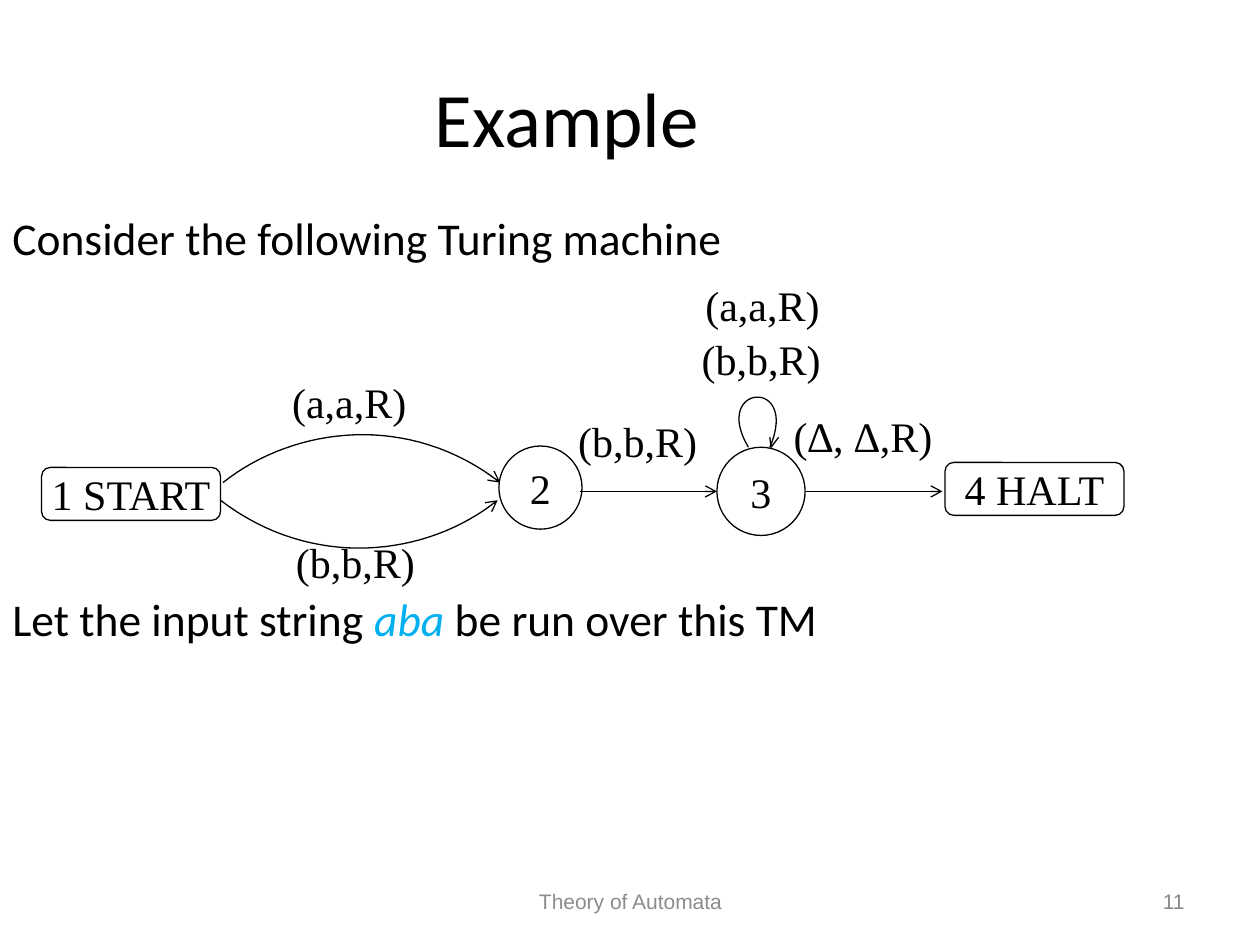
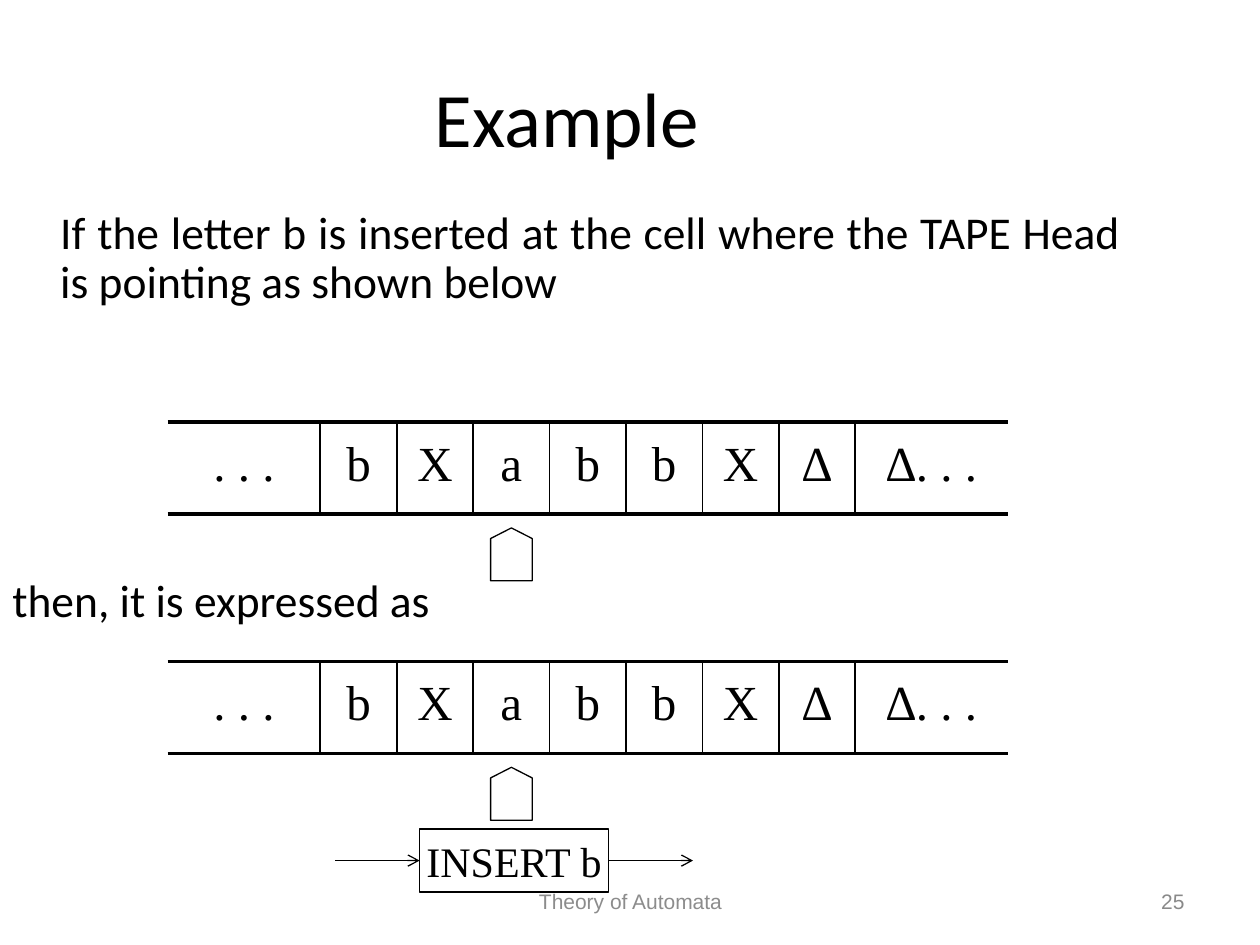
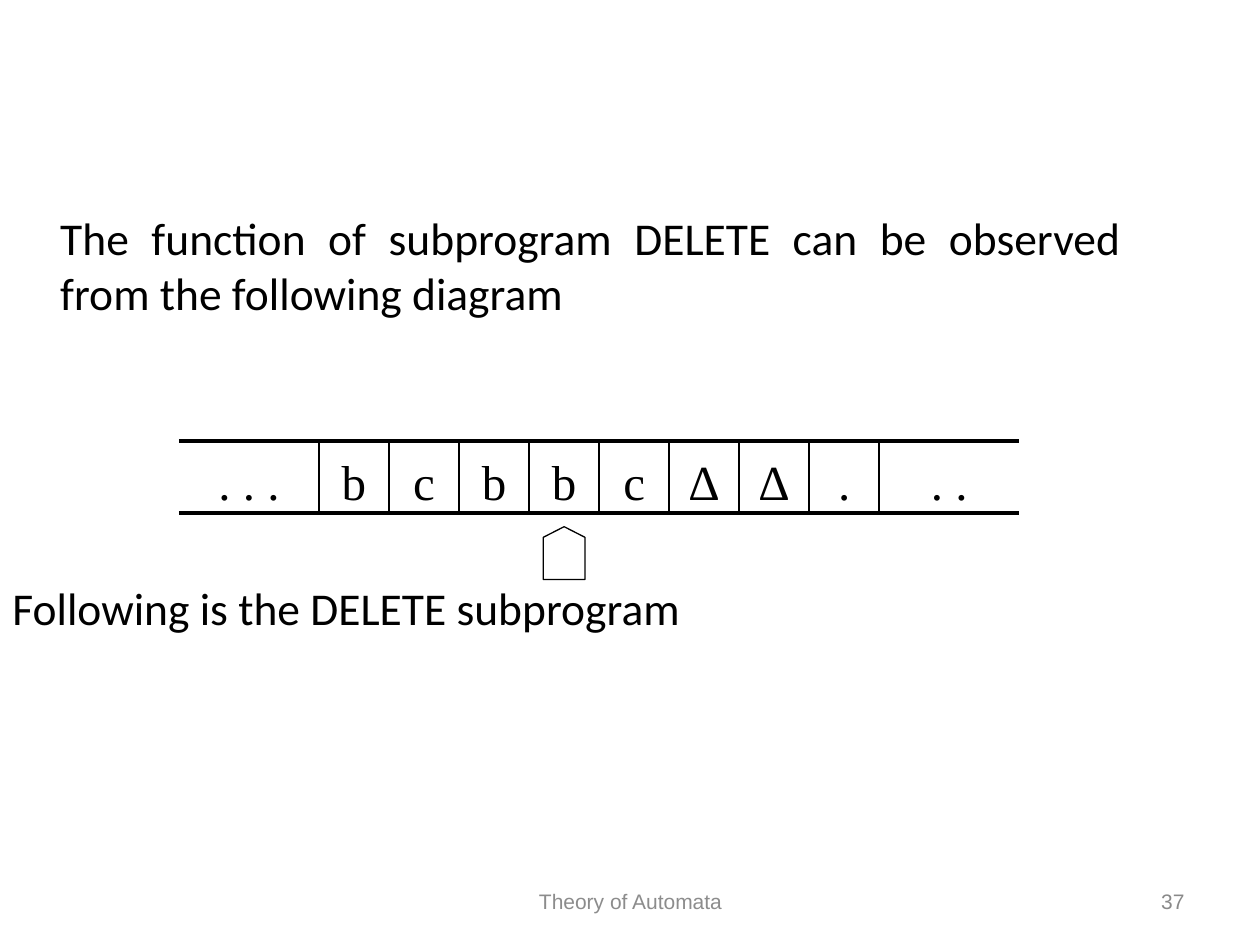
"""Builds three Turing machine slides: a state diagram and two tape operations."""
import pptx
import pptx.util
import pptx.dml.color
import pptx.enum.shapes
import pptx.enum.text
import pptx.oxml.ns
from lxml import etree

Inches = pptx.util.Inches
Pt = pptx.util.Pt
SHAPE = pptx.enum.shapes.MSO_SHAPE
ALIGN = pptx.enum.text.PP_ALIGN
ANCHOR = pptx.enum.text.MSO_ANCHOR

BLACK, WHITE, BLUE = "000000", "FFFFFF", "00B0F0"
FOOTER_GREY, NUMBER_GREY = "8C8C8C", "898989"
HEADING_FONT, DIAGRAM_FONT, FOOTER_FONT = "Calibri", "Times New Roman", "Arial"
FOOTER = "Theory of Automata"
TAPE_WIDTH = 6.67
HEAD_SIZE = (0.33, 0.42)

INSERT_SYMBOLS = [". . .", "b", "X", "a", "b", "b", "X", "∆", "∆. . ."]
DELETE_SYMBOLS = [". . .", "b", "c", "b", "b", "c", "∆", "∆", ".", ". ."]

SLIDES = [
    {
        "number": 11,
        "title": "Example",
        "body": [
            {"runs": [("Consider the following Turing machine", BLACK, False)]},
            {"runs": [("Let the input string ", BLACK, False), ("aba", BLUE, True),
                      (" be run over this TM", BLACK, False)], "before": 186.5},
        ],
        "machine": True,
    },
    {
        "number": 25,
        "title": "Example",
        "body": [
            {"runs": [("If the letter b is inserted at the cell where the TAPE Head "
                       "is pointing as shown below", BLACK, False)],
             "indent": 0.38, "spacing": 0.9},
            {"runs": [("then, it is expressed as", BLACK, False)], "before": 150.5},
        ],
        "tapes": [(INSERT_SYMBOLS, 3, 1.33, 3.35, 0.73), (INSERT_SYMBOLS, 3, 1.33, 5.25, 0.73)],
        "subprogram": "INSERT b",
    },
    {
        "number": 37,
        "body": [
            {"runs": [("The function of subprogram DELETE can be observed from "
                       "the following diagram", BLACK, False)], "indent": 0.38},
            {"runs": [("Following is the DELETE subprogram", BLACK, False)], "before": 149},
        ],
        "tapes": [(DELETE_SYMBOLS, 4, 1.42, 3.5, 0.57)],
    },
]

STATES = [
    ("1 START", SHAPE.ROUNDED_RECTANGLE, (0.33, 3.71, 1.42, 0.42)),
    ("2", SHAPE.OVAL, (3.96, 3.54, 0.66, 0.66)),
    ("3", SHAPE.OVAL, (5.69, 3.55, 0.7, 0.7)),
    ("4 HALT", SHAPE.ROUNDED_RECTANGLE, (7.5, 3.67, 1.42, 0.42)),
]
STATE_ARROWS = [((4.6, 3.9), (5.69, 3.9)), ((6.4, 3.9), (7.48, 3.9))]
CURVED_ARROWS = [
    ((1.77, 3.83), (2.34, 3.38), (3.25, 3.27), (3.97, 3.83)),
    ((1.75, 3.97), (2.48, 4.53), (3.39, 4.42), (3.95, 3.97)),
]
LOOP = ((5.94, 3.55), (5.64, 3.05), (6.35, 2.99), (6.11, 3.55))
LOOP_HEAD = [(6.11, 3.47), (6.12, 3.55), (6.18, 3.47)]
TRANSITIONS = [
    ("(a,a,R)", 2.22, 2.94), ("(b,b,R)", 2.25, 4.21), ("(b,b,R)", 4.49, 3.25),
    ("(b,b,R)", 5.47, 2.6), ("(a,a,R)", 5.5, 2.17), ("(∆, ∆,R)", 6.2, 3.21),
]


def color(value):
    return pptx.dml.color.RGBColor.from_string(value)


def style_font(font, name, size, value=BLACK, italic=False):
    font.name, font.size, font.italic = name, Pt(size), italic
    font.color.rgb = color(value)


def style_line(line, width, arrow=False):
    line.color.rgb = color(BLACK)
    line.width = Pt(width)
    if arrow:
        tail = etree.SubElement(line._get_or_add_ln(), pptx.oxml.ns.qn("a:tailEnd"))
        tail.set("type", "arrow")


def add_text(page, text, place, font, size, value=BLACK, align=ALIGN.LEFT, anchor=ANCHOR.TOP):
    box = page.shapes.add_textbox(*map(Inches, place))
    frame = box.text_frame
    frame.word_wrap = True
    frame.vertical_anchor = anchor
    frame.text = text
    para = frame.paragraphs[0]
    para.alignment = align
    style_font(para.runs[0].font, font, size, value)
    return box


def add_line(page, start, end, width=0.75, arrow=False):
    line = page.shapes.add_connector(
        pptx.enum.shapes.MSO_CONNECTOR.STRAIGHT, *map(Inches, start + end))
    style_line(line.line, width, arrow)
    etree.SubElement(line._element.spPr, pptx.oxml.ns.qn("a:effectLst"))


def add_outline(page, kind, place, text="", fill=None):
    shape = page.shapes.add_shape(kind, *map(Inches, place))
    shape.shadow.inherit = False
    if fill:
        shape.fill.solid()
        shape.fill.fore_color.rgb = color(fill)
    else:
        shape.fill.background()
    style_line(shape.line, 0.75)
    if text:
        frame = shape.text_frame
        frame.word_wrap = False
        frame.vertical_anchor = ANCHOR.MIDDLE
        frame.text = text
        frame.paragraphs[0].alignment = ALIGN.CENTER
        style_font(frame.paragraphs[0].runs[0].font, DIAGRAM_FONT, 24)
    return shape


def curve_points(curve, steps=32):
    points = []
    for step in range(steps + 1):
        t = step / steps
        weights = ((1 - t) ** 3, 3 * t * (1 - t) ** 2, 3 * t * t * (1 - t), t ** 3)
        points.append(tuple(sum(w * p[axis] for w, p in zip(weights, curve)) for axis in (0, 1)))
    return points


def add_path(page, points, arrow=False):
    points = [tuple(map(Inches, point)) for point in points]
    builder = page.shapes.build_freeform(*points[0])
    builder.add_line_segments(points[1:], close=False)
    shape = builder.convert_to_shape()
    shape.shadow.inherit = False
    shape.fill.background()
    style_line(shape.line, 0.75, arrow)


def add_body(page, paragraphs):
    frame = page.shapes.add_textbox(*map(Inches, (0, 1.62, 9, 4.95))).text_frame
    frame.word_wrap = True
    for index, content in enumerate(paragraphs):
        para = frame.add_paragraph() if index else frame.paragraphs[0]
        para.alignment = ALIGN.JUSTIFY
        if "indent" in content:
            para._p.get_or_add_pPr().set("marL", str(Inches(content["indent"])))
        if "spacing" in content:
            para.line_spacing = content["spacing"]
        if "before" in content:
            para.space_before = Pt(content["before"])
        for text, value, italic in content["runs"]:
            span = para.add_run()
            span.text = text
            style_font(span.font, HEADING_FONT, 26, value, italic)


def add_machine(page):
    for curve in CURVED_ARROWS:
        add_path(page, curve_points(curve), arrow=True)
    add_path(page, curve_points(LOOP))
    add_path(page, LOOP_HEAD)
    for name, kind, place in STATES:
        add_outline(page, kind, place, name, WHITE if kind == SHAPE.OVAL else None)
    for start, end in STATE_ARROWS:
        add_line(page, start, end, arrow=True)
    for label, left, top in TRANSITIONS:
        add_text(page, label, (left, top, 1.71, 0.46), DIAGRAM_FONT, 24)


def add_tape(page, symbols, head_index, left, top, height):
    """Draws a tape whose two end cells are twice as wide as the others."""
    unit = TAPE_WIDTH / (len(symbols) + 2)
    bottom = top + height
    for index, symbol in enumerate(symbols):
        is_end = index in (0, len(symbols) - 1)
        cell_left = left + unit * (index + 1 if index else 0)
        cell = add_text(page, symbol, (cell_left, top, unit * (2 if is_end else 1), height),
                        DIAGRAM_FONT, 28, align=ALIGN.CENTER)
        cell.text_frame.margin_top = Inches(0.08)
        if index:
            add_line(page, (cell_left, top), (cell_left, bottom), 1)
    for y in (top, bottom):
        add_line(page, (left, y), (left + TAPE_WIDTH, y), 2.25)
    head_left = left + unit * (head_index + 1.5) - HEAD_SIZE[0] / 2
    head = add_outline(page, SHAPE.FLOWCHART_OFFPAGE_CONNECTOR,
                       (head_left, bottom + 0.11) + HEAD_SIZE)
    head.rotation = 180


def add_subprogram(page, name):
    left, top, width, height = 3.33, 6.58, 1.5, 0.5
    add_outline(page, SHAPE.RECTANGLE, (left, top, width, height), name)
    middle = top + height / 2
    for start in (left - 0.67, left + width):
        add_line(page, (start, middle), (start + 0.67, middle), arrow=True)


def build_slide(deck, content):
    page = deck.slides.add_slide(deck.slide_layouts[6])
    if "title" in content:
        add_text(page, content["title"], (0, 0.3, 9, 1.25), HEADING_FONT, 44,
                 align=ALIGN.CENTER, anchor=ANCHOR.MIDDLE)
    add_body(page, content["body"])
    if content.get("machine"):
        add_machine(page)
    for tape in content.get("tapes", []):
        add_tape(page, *tape)
    if "subprogram" in content:
        add_subprogram(page, content["subprogram"])
    add_text(page, FOOTER, (3.42, 6.95, 3.17, 0.4), FOOTER_FONT, 12, FOOTER_GREY,
             ALIGN.CENTER, ANCHOR.MIDDLE)
    add_text(page, str(content["number"]), (7.17, 6.95, 2.33, 0.4), FOOTER_FONT, 12,
             NUMBER_GREY, ALIGN.RIGHT, ANCHOR.MIDDLE)


def main():
    deck = pptx.Presentation()
    deck.slide_width, deck.slide_height = Inches(10), Inches(7.5)
    for content in SLIDES:
        build_slide(deck, content)
    deck.save("out.pptx")


if __name__ == "__main__":
    main()
